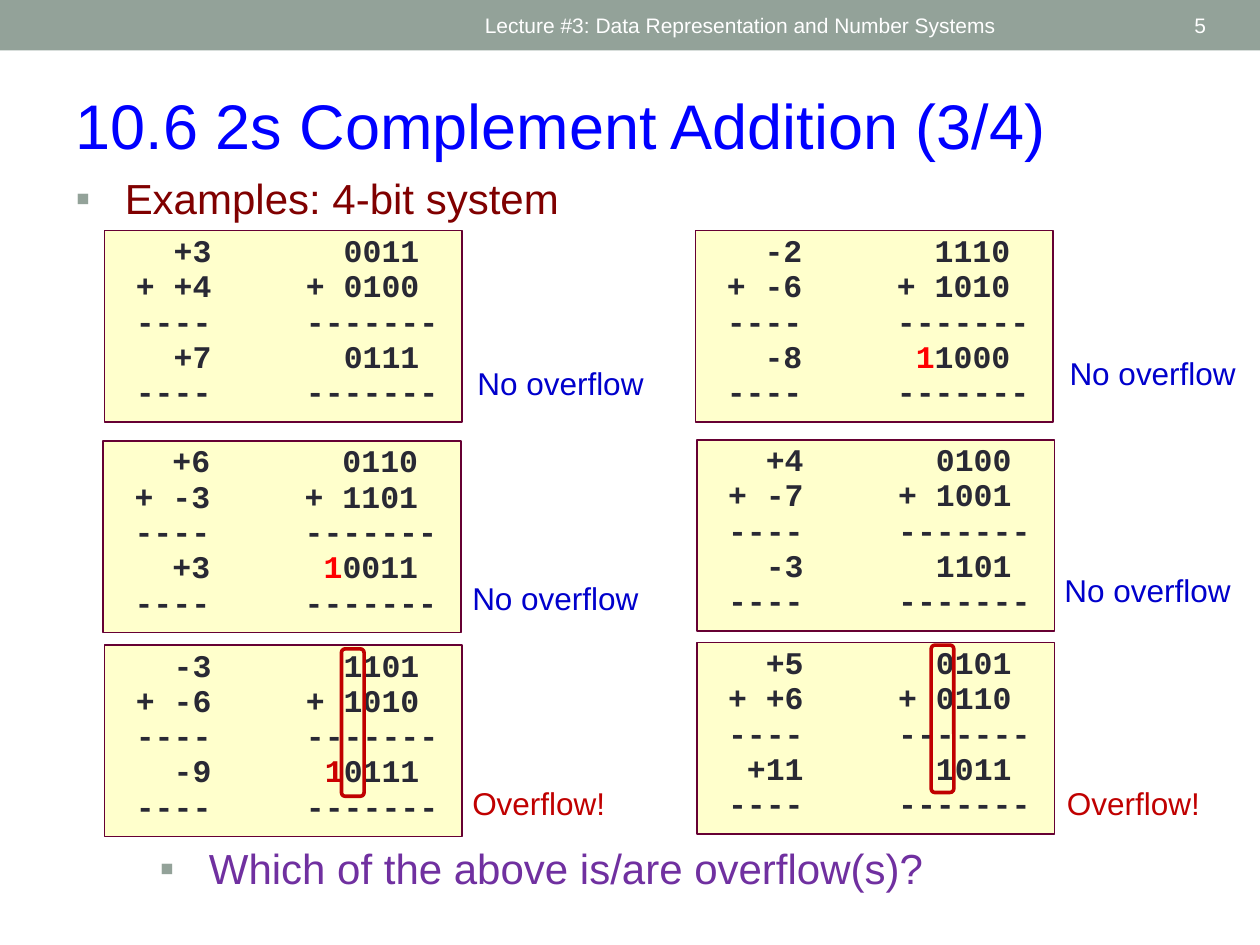
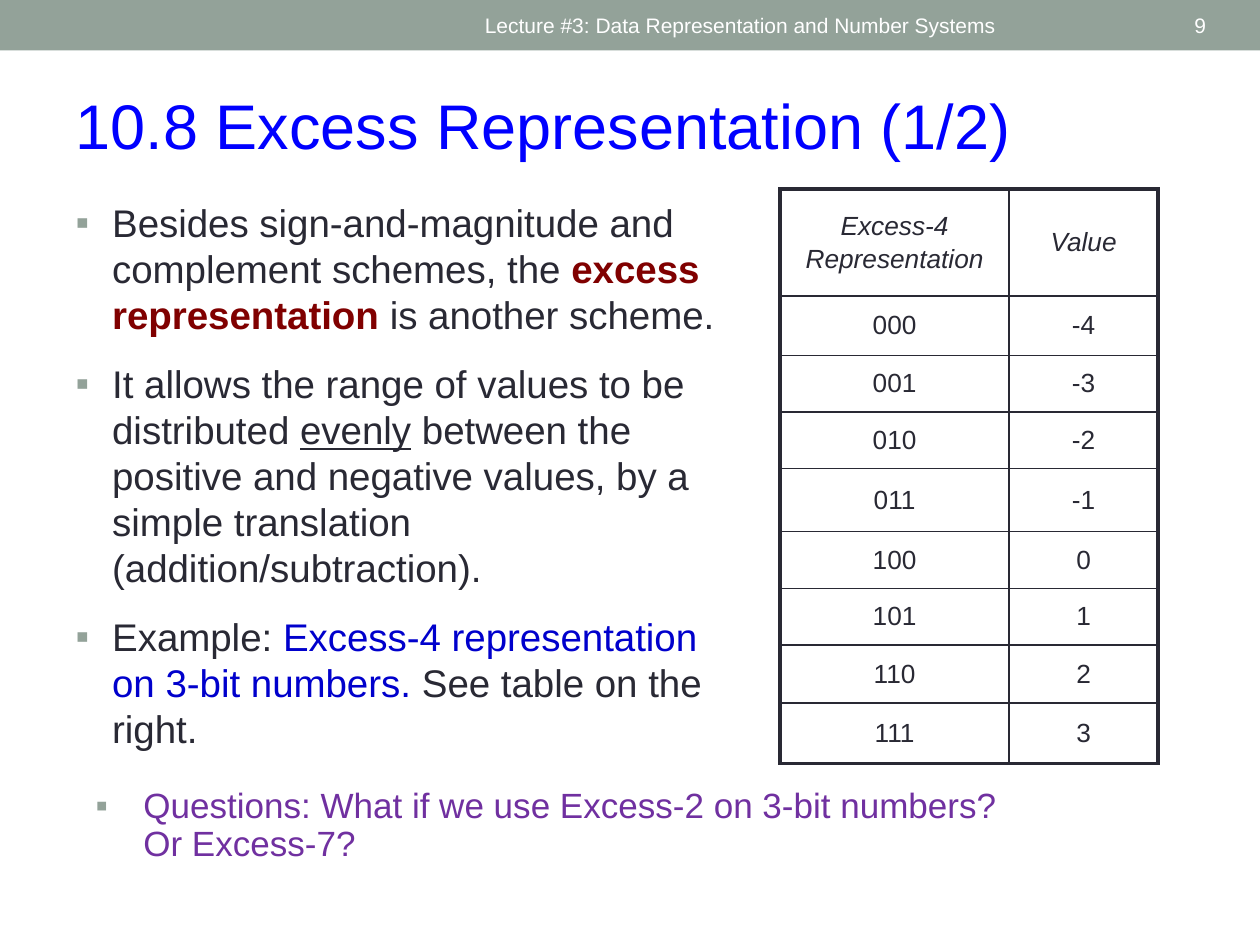
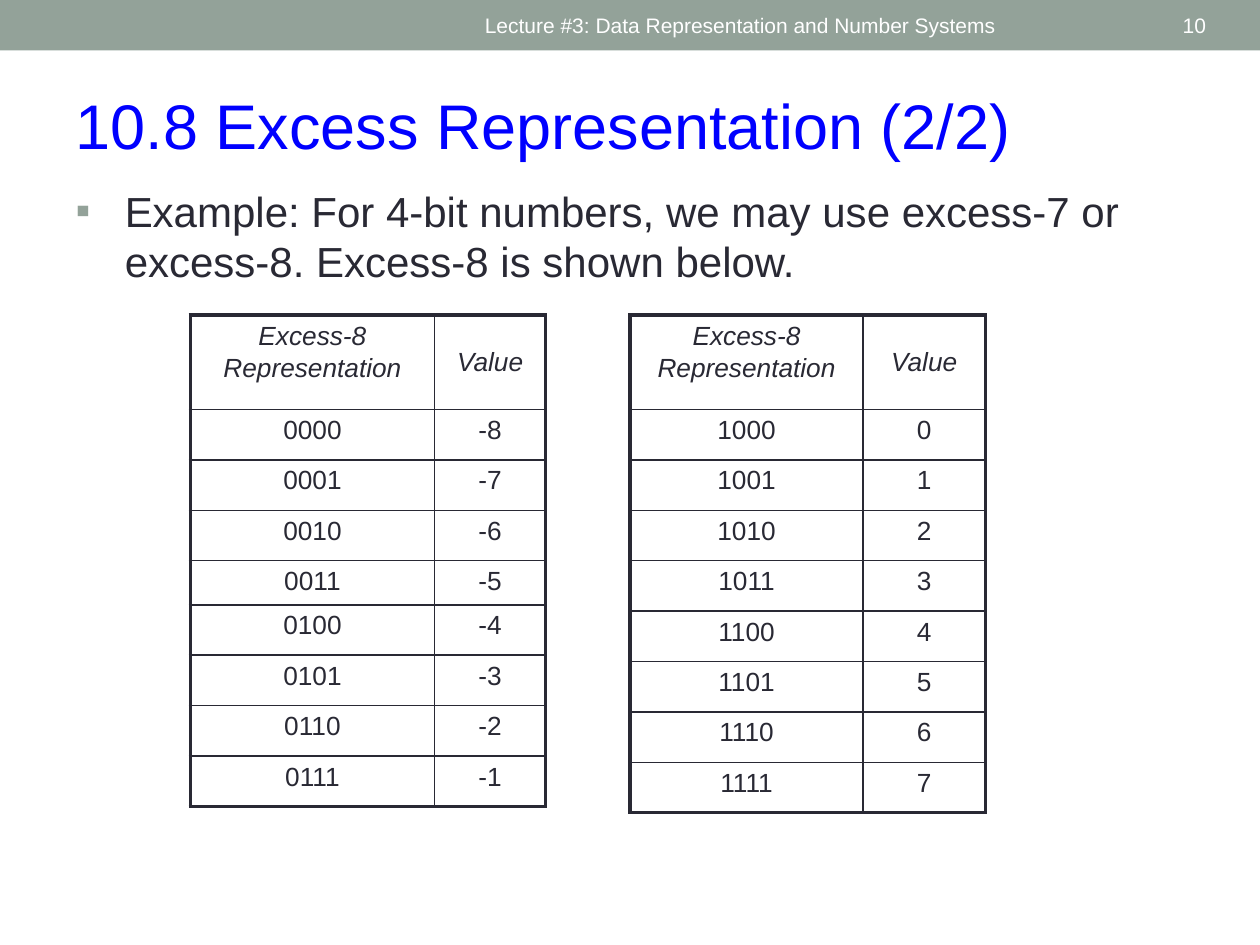
from lxml.etree import SubElement
from pptx import Presentation
from pptx.dml.color import RGBColor
from pptx.enum.shapes import MSO_SHAPE as Shape
from pptx.enum.text import MSO_ANCHOR as Anchor, MSO_AUTO_SIZE as AutoSize, PP_ALIGN as Align
from pptx.oxml.ns import qn
from pptx.util import Inches, Pt

COLORS = {
    "band": "93A299", "white": "FFFFFF", "ink": "292934", "title": "0000FF",
    "maroon": "800000", "blue": "0000CC", "purple": "7030A0", "red": "FF0000",
    "dark red": "CC0000", "alert": "C00000", "card": "FFFFCC", "card line": "660033",
}
RGB = {name: RGBColor.from_string(value) for name, value in COLORS.items()}
LECTURE = "Lecture #3: Data Representation and Number Systems"


def write(frame, lines, size=18, color="ink", font="Arial", bold=False, italic=False,
          align=Align.LEFT, anchor=Anchor.TOP, before=0, after=0, spacing=1.0,
          margin=0, hang=0):
    """Fill a frame; a line is a string or a list of strings and (text, format) pairs.

    A hang above zero gives each line a square bullet.
    """
    frame.word_wrap = True
    frame.auto_size = AutoSize.NONE
    frame.vertical_anchor = anchor
    for index, line in enumerate(lines):
        para = frame.add_paragraph() if index else frame.paragraphs[0]
        para.alignment = align
        para.space_before, para.space_after = Pt(before), Pt(after)
        para.line_spacing = spacing
        if hang:
            props = para._p.get_or_add_pPr()
            props.set("marL", str(Inches(margin)))
            props.set("indent", str(-Inches(hang)))
            bullet_color = SubElement(props, qn("a:buClr"))
            SubElement(bullet_color, qn("a:srgbClr"), val=COLORS["band"])
            SubElement(props, qn("a:buFont"), typeface="Arial")
            SubElement(props, qn("a:buChar"), char="▪")
        for part in [line] if isinstance(line, str) else line:
            text, change = (part, {}) if isinstance(part, str) else part
            span = para.add_run()
            span.text = text
            span.font.name, span.font.size = font, Pt(size)
            span.font.bold = change.get("bold", bold)
            span.font.italic = italic
            if change.get("underline"):
                span.font.underline = True
            span.font.color.rgb = RGB[change.get("color", color)]


def add_value_table(page, left, top, widths, heights, scheme, codes, first_value, anchor):
    """Add a table of bit codes and the consecutive values they stand for."""
    table = page.shapes.add_table(len(heights), 2, Inches(left), Inches(top),
                                  Inches(sum(widths)), Inches(sum(heights))).table
    table.first_row = table.horz_banding = False
    for column, width in zip(table.columns, widths):
        column.width = Inches(width)
    for row, height in zip(table.rows, heights):
        row.height = Inches(height)
    rows = [([scheme, "Representation"], ["Value"])]
    rows += [([code], [str(value)]) for value, code in enumerate(codes, first_value)]
    for row_index, row in enumerate(rows):
        for column_index, lines in enumerate(row):
            cell = table.cell(row_index, column_index)
            is_header = row_index == 0
            write(cell.text_frame, lines, size=15, italic=is_header, align=Align.CENTER, before=2)
            cell.vertical_anchor = Anchor.MIDDLE if is_header and column_index else anchor
            props = cell._tc.get_or_add_tcPr()
            outer_sides = {"lnL": column_index == 0, "lnR": column_index == 1,
                           "lnT": is_header, "lnB": row_index == len(rows) - 1}
            for side, is_outer in outer_sides.items():
                border = SubElement(props, qn(f"a:{side}"), w=str(Pt(2.25 if is_outer else 1)))
                fill = SubElement(border, qn("a:solidFill"))
                SubElement(fill, qn("a:srgbClr"), val=COLORS["ink"])
            cell.fill.background()


deck = Presentation()
deck.slide_width, deck.slide_height = Inches(10), Inches(7.5)

# Shared band, footer, number and title; each body is placed here too
pages = []
for number, title, body_place in [
    (5, "10.6 2s Complement Addition (3/4)", (0.5, 1.32, 9, 0.58)),
    (9, "10.8 Excess Representation (1/2)", (0.5, 1.53, 5.39, 4.53)),
    (10, "10.8 Excess Representation (2/2)", (0.5, 1.42, 9, 1.08)),
]:
    page = deck.slides.add_slide(deck.slide_layouts[1])
    pages.append(page)
    band = page.shapes.add_shape(Shape.RECTANGLE, 0, 0, deck.slide_width, Inches(0.4))
    band.shadow.inherit = False
    band.fill.solid()
    band.fill.fore_color.rgb = RGB["band"]
    band.line.fill.background()
    for left, width, text, align in [(3.75, 4.5, LECTURE, Align.LEFT),
                                     (8.72, 0.95, str(number), Align.RIGHT)]:
        box = page.shapes.add_textbox(Inches(left), Inches(0.02), Inches(width), Inches(0.36))
        write(box.text_frame, [text], size=12, color="white", align=align, anchor=Anchor.MIDDLE)
    for holder, place in [(page.shapes.title, (0.5, 0.64, 9, 0.71)),
                          (page.placeholders[1], body_place)]:
        holder.left, holder.top, holder.width, holder.height = map(Inches, place)
    write(page.shapes.title.text_frame, [title], size=36, color="title")

addition_page, excess_four_page, excess_eight_page = pages

# Slide 1: six additions with their verdicts
write(addition_page.placeholders[1].text_frame, ["Examples: 4-bit system"],
      size=24, color="maroon", before=5, margin=0.39, hang=0.39)
question = addition_page.shapes.add_textbox(Inches(1.08), Inches(6.64), Inches(7.17), Inches(0.52))
write(question.text_frame, ["Which of the above is/are overflow(s)?"],
      size=24, color="purple", before=5, margin=0.48, hang=0.39)

RULE = " ----     -------"
# card left, top; decimal sum; binary sum; carry and its colour; verdict left, top
additions = [
    (0.83, 1.83, ("+3", "+ +4", "+7"), ("0011", "+ 0100", "0111"), " ", "red", 3.69, 2.84),
    (5.52, 1.83, ("-2", "+ -6", "-8"), ("1110", "+ 1010", "1000"), "1", "red", 8.39, 2.76),
    (0.82, 3.5, ("+6", "+ -3", "+3"), ("0110", "+ 1101", "0011"), "1", "red", 3.65, 4.55),
    (5.53, 3.49, ("+4", "+ -7", "-3"), ("0100", "+ 1001", "1101"), " ", "red", 8.35, 4.48),
    (0.83, 5.12, ("-3", "+ -6", "-9"), ("1101", "+ 1010", "0111"), "1", "dark red", 3.65, 6.17),
    (5.53, 5.1, ("+5", "+ +6", "+11"), ("0101", "+ 0110", "1011"), " ", "red", 8.37, 6.17),
]
for left, top, decimals, bits, carry, carry_color, verdict_left, verdict_top in additions:
    card = addition_page.shapes.add_shape(Shape.RECTANGLE, Inches(left), Inches(top),
                                          Inches(2.84), Inches(1.52))
    card.shadow.inherit = False
    card.fill.solid()
    card.fill.fore_color.rgb = RGB["card"]
    card.line.color.rgb = RGB["card line"]
    card.line.width = Pt(1)
    operands = [f"{decimal:>5}{binary:>11}" for decimal, binary in zip(decimals[:2], bits)]
    total = [f"{decimals[2]:>5}{'':6}", (carry, {"color": carry_color}), bits[2]]
    write(card.text_frame, [*operands, RULE, total, RULE],
          font="Courier New", bold=True, before=1.8, spacing=0.85)

    overflows = bits[0][0] == bits[1][2] != bits[2][0]
    verdict = addition_page.shapes.add_textbox(Inches(verdict_left), Inches(verdict_top),
                                               Inches(1.6), Inches(0.4))
    write(verdict.text_frame, ["Overflow!" if overflows else "No overflow"],
          color="alert" if overflows else "blue")

for left, top in [(2.71, 5.15), (7.39, 5.12)]:
    sign_frame = addition_page.shapes.add_shape(Shape.ROUNDED_RECTANGLE, Inches(left), Inches(top),
                                                Inches(0.18), Inches(1.17))
    sign_frame.shadow.inherit = False
    sign_frame.fill.background()
    sign_frame.line.color.rgb = RGB["alert"]
    sign_frame.line.width = Pt(2.08)

# Slide 2: excess-4 on three bits
write(excess_four_page.placeholders[1].text_frame, [
    ["Besides sign-and-magnitude and complement schemes, the ",
     ("excess representation", {"color": "maroon", "bold": True}),
     " is another scheme."],
    ["It allows the range of values to be distributed ",
     ("evenly", {"underline": True}),
     " between the positive and negative values, by a simple translation (addition/subtraction)."],
    ["Example: ",
     ("Excess-4 representation on 3-bit numbers. ", {"color": "blue"}),
     "See table on the right."],
], size=22, before=6, after=6.6, margin=0.29, hang=0.29)
add_value_table(excess_four_page, 6.19, 1.5, [1.82, 1.18],
                [0.85, 0.47, 0.45, 0.45, 0.5, 0.45, 0.45, 0.46, 0.48],
                "Excess-4", [f"{code:03b}" for code in range(8)], -4, Anchor.MIDDLE)
question = excess_four_page.shapes.add_shape(Shape.RECTANGLE, Inches(0.66), Inches(6.21),
                                             Inches(7.59), Inches(0.81))
question.shadow.inherit = False
question.fill.solid()
question.fill.fore_color.rgb = RGB["white"]
question.line.fill.background()
write(question.text_frame, ["Questions: What if we use Excess-2 on 3-bit numbers? Or Excess-7?"],
      size=20, color="purple", before=4, after=6, spacing=0.9, margin=0.38, hang=0.38)

# Slide 3: excess-8 on four bits, in two halves
write(excess_eight_page.placeholders[1].text_frame,
      ["Example: For 4-bit numbers, we may use excess-7 or excess-8. Excess-8 is shown below."],
      size=24, before=6, margin=0.39, hang=0.39)
for left, widths, heights, first_code in [
    (1.51, [1.94, 0.88], [0.75] + [0.4] * 3 + [0.35] + [0.4] * 4, 0),
    (5, [1.85, 0.97], [0.75] + [0.4] * 8, 8),
]:
    codes = [f"{code:04b}" for code in range(first_code, first_code + 8)]
    add_value_table(excess_eight_page, left, 2.5, widths, heights,
                    "Excess-8", codes, first_code - 8, Anchor.TOP)

deck.save("out.pptx")
